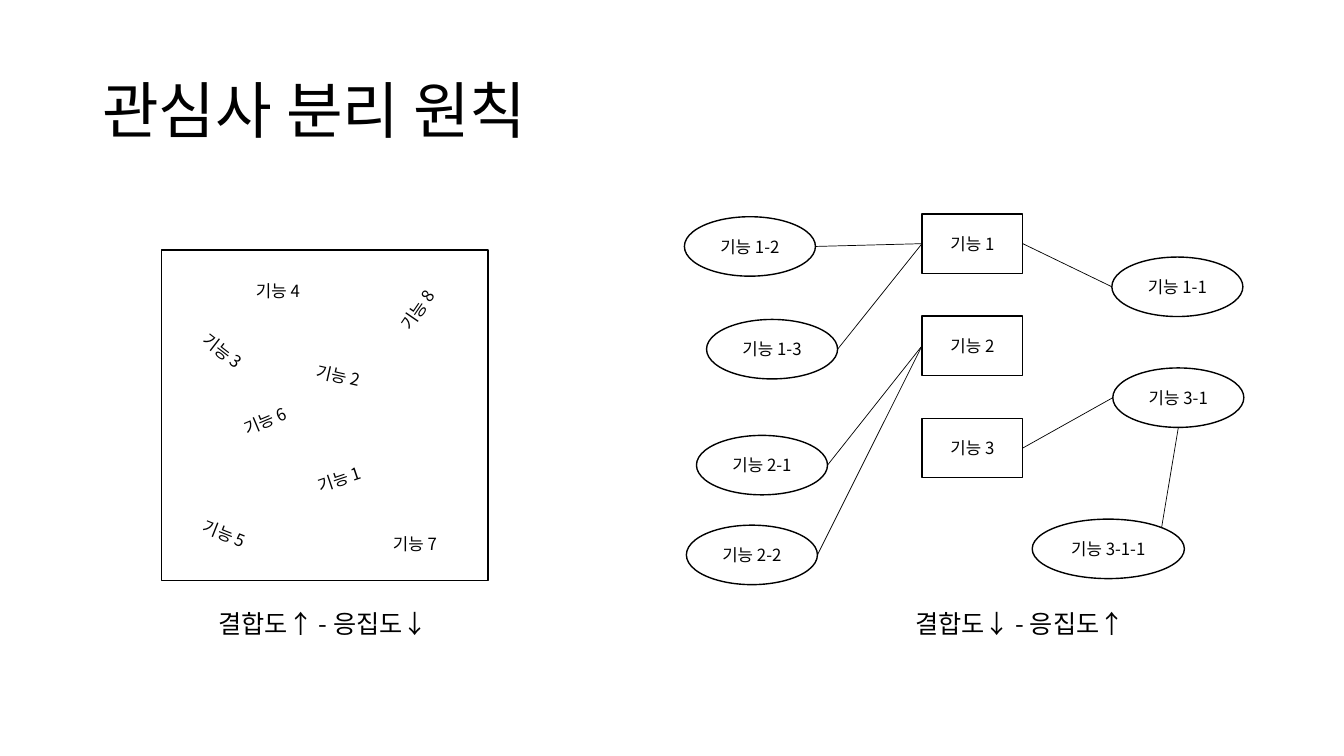
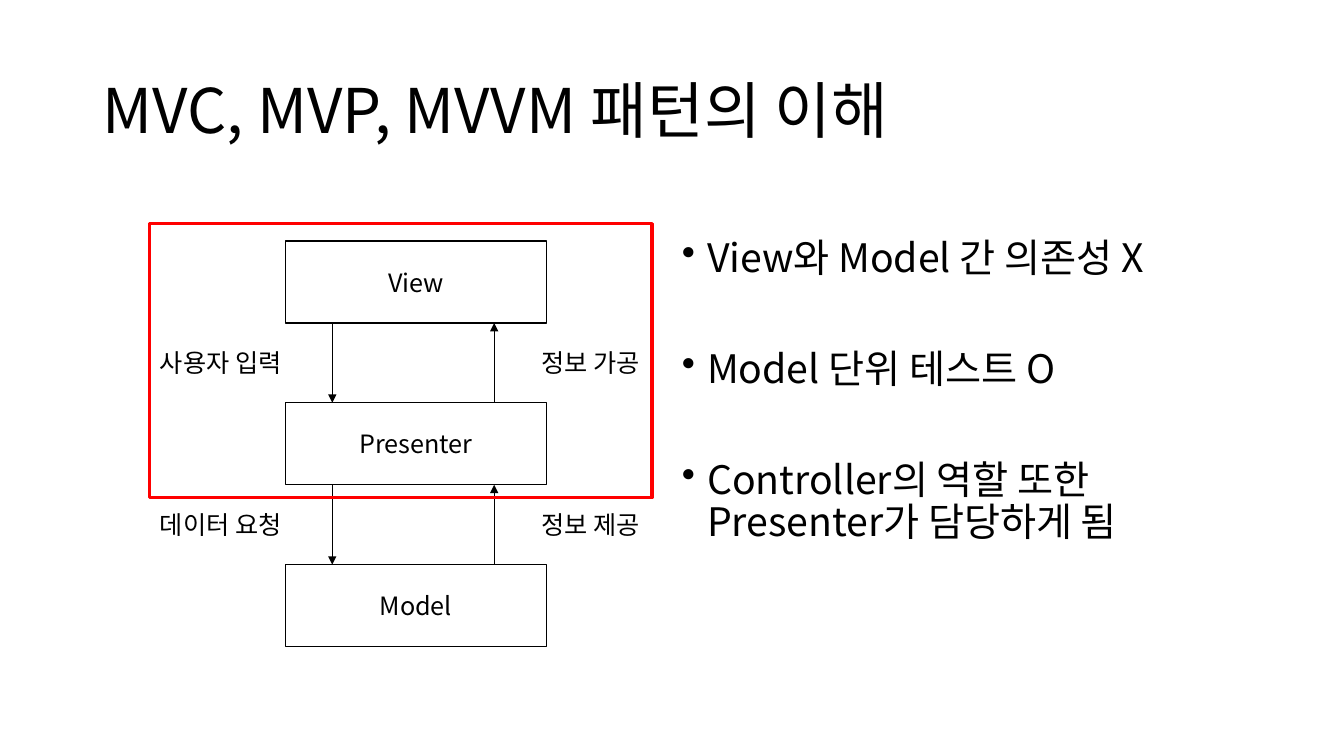
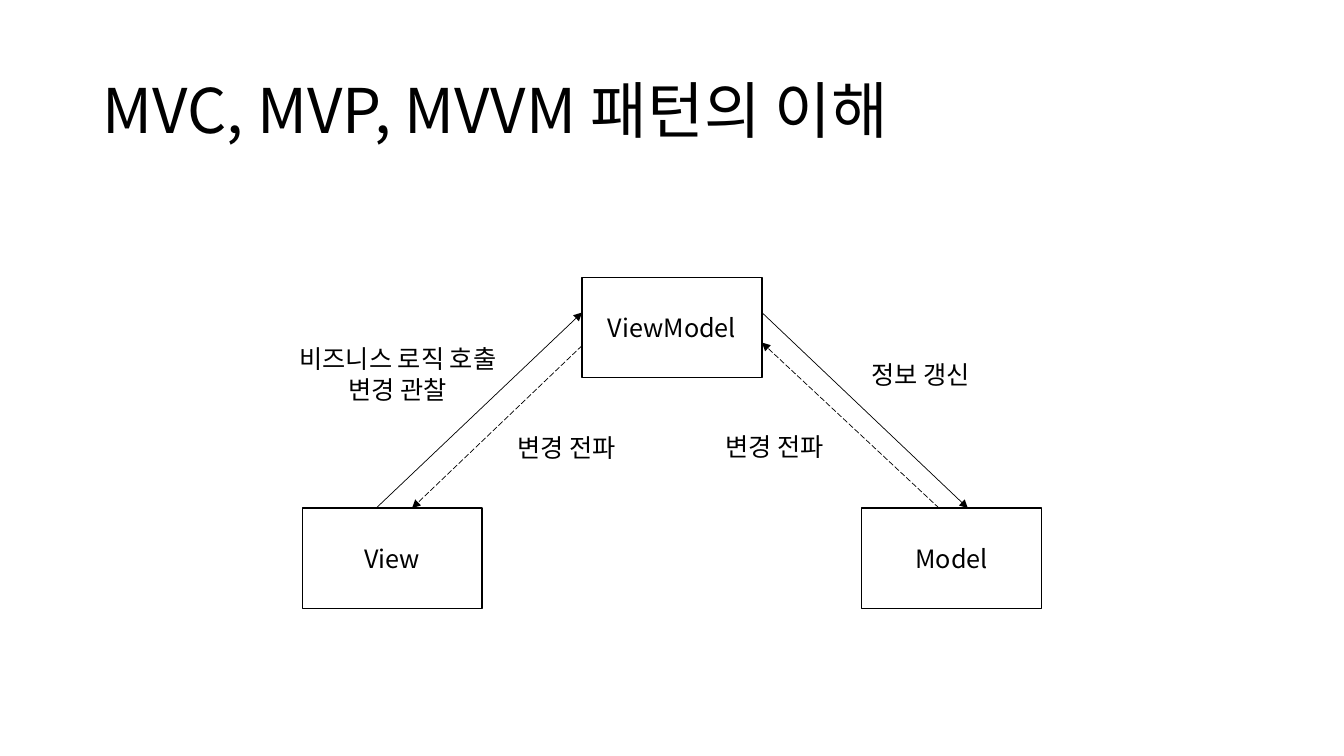
from dataclasses import dataclass

from pptx import Presentation
from pptx import util as u
from pptx.dml import color
from pptx.enum import dml, shapes, text
from pptx.oxml import ns
from lxml import etree


@dataclass(frozen=True)
class Theme:
    font: str = "Noto Sans CJK KR"
    ink: str = "000000"
    accent: str = "FF0000"
    title: float = 44
    body: float = 28
    label: float = 18
    small: float = 12
    outline: float = 1
    frame: float = 2.25
    link: float = 0.5


THEME = Theme()
RECTANGLE = shapes.MSO_SHAPE.RECTANGLE
OVAL = shapes.MSO_SHAPE.OVAL
CENTER = text.PP_ALIGN.CENTER
LEFT = text.PP_ALIGN.LEFT
TOP = text.MSO_ANCHOR.TOP
MIDDLE = text.MSO_ANCHOR.MIDDLE


def add_child(parent, tag, **attributes):
    return etree.SubElement(parent, ns.qn(tag), **attributes)


def write(frame, words, size=THEME.label, align=LEFT, anchor=TOP,
          spacing=None, before=0, bullet=False):
    frame.word_wrap = True
    frame.vertical_anchor = anchor
    for index, line in enumerate(words.split("\n")):
        paragraph = frame.paragraphs[0] if index == 0 else frame.add_paragraph()
        if bullet:
            properties = paragraph._p.get_or_add_pPr()
            properties.set("marL", str(u.Pt(18)))
            properties.set("indent", str(-u.Pt(18)))
            add_child(properties, "a:buChar", char="•")
        paragraph.alignment = align
        if spacing:
            paragraph.line_spacing = spacing
        if index and before:
            paragraph.space_before = u.Pt(before)
        run = paragraph.add_run()
        run.text = line
        run.font.size = u.Pt(size)
        run.font.color.rgb = color.RGBColor.from_string(THEME.ink)
        run.font.name = THEME.font
        add_child(run._r.get_or_add_rPr(), "a:ea", typeface=THEME.font)


def point(shape, across, down):
    return (u.Emu(shape.left + int(shape.width * across)).pt,
            u.Emu(shape.top + int(shape.height * down)).pt)


class Deck:
    def __init__(self):
        self.presentation = Presentation()
        self.presentation.slide_width = u.Pt(960)
        self.presentation.slide_height = u.Pt(540)
        self.slide = None

    def new_slide(self, title):
        layout = self.presentation.slide_layouts[6]
        self.slide = self.presentation.slides.add_slide(layout)
        self.text(title, 66, 28.75, 828, 104.4, size=THEME.title,
                  anchor=MIDDLE, spacing=0.9)

    def text(self, words, left, top, width, height, rotation=0, grow=False, **style):
        box = self.slide.shapes.add_textbox(*map(u.Pt, (left, top, width, height)))
        box.rotation = rotation
        write(box.text_frame, words, **style)
        if grow:
            box.text_frame.auto_size = text.MSO_AUTO_SIZE.SHAPE_TO_FIT_TEXT

    def label(self, words, left, top, width, height=29, **style):
        self.text(words, left, top, width, height, grow=True, **style)

    def box(self, words, left, top, width, height, kind=RECTANGLE,
            line=THEME.ink, weight=THEME.outline, size=THEME.label):
        shape = self.slide.shapes.add_shape(kind, *map(u.Pt, (left, top, width, height)))
        shape.shadow.inherit = False
        shape.fill.background()
        shape.line.color.rgb = color.RGBColor.from_string(line)
        shape.line.width = u.Pt(weight)
        if words:
            write(shape.text_frame, words, size=size, align=CENTER, anchor=MIDDLE)
        return shape

    def link(self, start, end, arrow=False, dashed=False):
        connector = self.slide.shapes.add_connector(
            shapes.MSO_CONNECTOR.STRAIGHT, *map(u.Pt, (*start, *end)))
        line = connector.line
        line.color.rgb = color.RGBColor.from_string(THEME.ink)
        line.width = u.Pt(THEME.link)
        if dashed:
            line.dash_style = dml.MSO_LINE.LONG_DASH
        if arrow:
            add_child(line._get_or_add_ln(), "a:tailEnd", type="triangle")
        add_child(connector._element.spPr, "a:effectLst")


def separation_of_concerns(deck):
    deck.new_slide("관심사 분리 원칙")
    deck.box("", 115.2, 178.6, 233.5, 236.2)
    scattered = [
        (4, 175.7, 197.3, 0), (3, 136.1, 240.5, 37.7), (6, 166.3, 289.4, 337.2),
        (2, 218.9, 257.8, 12.8), (8, 275, 209.5, 304.5), (1, 219.5, 331.2, 341.4),
        (5, 137.5, 370.8, 21.6), (7, 273.6, 378, 0),
    ]
    for number, left, top, rotation in scattered:
        deck.label(f"기능 {number}", left, top, 48, 21.8, rotation=rotation,
                   size=THEME.small)
    for caption, left in (("결합도↑ - 응집도↓", 144), ("결합도↓ - 응집도↑", 641.5)):
        deck.label(caption, left, 430.6, 174, align=CENTER)

    features = {}
    for index in range(3):
        name = str(index + 1)
        features[name] = deck.box(f"기능 {name}", 658.6, 152.8 + 73 * index, 72, 42.5,
                                  size=THEME.small)
    details = [
        ("1-1", 794.2, 183.6, 93.6), ("1-2", 488.9, 154.8, 93.6),
        ("1-3", 504.7, 228.2, 93.6), ("2-1", 497.5, 311, 93.6),
        ("2-2", 490.3, 375.1, 93.6), ("3-1", 794.9, 262.8, 93.6),
        ("3-1-1", 737.3, 370.8, 108.7),
    ]
    for name, left, top, width in details:
        features[name] = deck.box(f"기능 {name}", left, top, width, 42.5, kind=OVAL,
                                  size=THEME.small)
    for child in ("1-2", "1-3", "2-1", "2-2"):
        deck.link(point(features[child], 1, 0.5), point(features[child[0]], 0, 0.5))
    for child in ("1-1", "3-1"):
        deck.link(point(features[child], 0, 0.5), point(features[child[0]], 1, 0.5))
    deck.link(point(features["3-1"], 0.5, 1), point(features["3-1-1"], 0.85, 0.15))


def presenter_pattern(deck):
    deck.new_slide("MVC, MVP, MVVM 패턴의 이해")
    pitch = 115.6
    layers = [deck.box(name, 203.8, 172.1 + pitch * index, 186.5, 58.6)
              for index, name in enumerate(("View", "Presenter", "Model"))]
    captions = [("사용자 입력", "정보 가공"), ("데이터 요청", "정보 제공")]
    for index, (request, response) in enumerate(captions):
        upper, lower = layers[index:index + 2]
        deck.link(point(upper, 0.18, 1), point(lower, 0.18, 0), arrow=True)
        deck.link(point(lower, 0.8, 0), point(upper, 0.8, 1), arrow=True)
        top = 244.6 + pitch * index
        deck.label(request, 107.2, top, 103)
        deck.label(response, 379.4, top, 86.4)
    deck.text("View와 Model 간 의존성 X\nModel 단위 테스트 O\n"
              "Controller의 역할 또한 Presenter가 담당하게 됨",
              480, 167, 414, 242, size=THEME.body, spacing=0.9, before=49, bullet=True)
    deck.box("", 107, 159.7, 358.8, 195.7, line=THEME.accent, weight=THEME.frame)


def view_model_pattern(deck):
    deck.new_slide("MVC, MVP, MVVM 패턴의 이해")
    positions = (("View", 363), ("ViewModel", 198.2), ("Model", 363))
    view, view_model, model = [
        deck.box(name, 216 + 199.8 * index, top, 128.4, 71.5)
        for index, (name, top) in enumerate(positions)]
    deck.link(point(view_model, 1, 0.35), point(model, 0.59, 0), arrow=True)
    deck.link(point(model, 0.43, 0), point(view_model, 1, 0.65), arrow=True, dashed=True)
    deck.link(point(view_model, 0, 0.68), point(view, 0.61, 0), arrow=True, dashed=True)
    deck.link(point(view, 0.41, 0), point(view_model, 0, 0.35), arrow=True)
    for words, left, top in (("정보 갱신", 615.4, 252.8), ("변경 전파", 511, 304.7),
                             ("변경 전파", 362.6, 305.2)):
        deck.label(words, left, top, 86.4)
    deck.label("비즈니스 로직 호출\n변경 관찰", 205.3, 242, 157.7, 51, align=CENTER)


def main():
    deck = Deck()
    separation_of_concerns(deck)
    presenter_pattern(deck)
    view_model_pattern(deck)
    deck.presentation.save("out.pptx")


if __name__ == "__main__":
    main()
